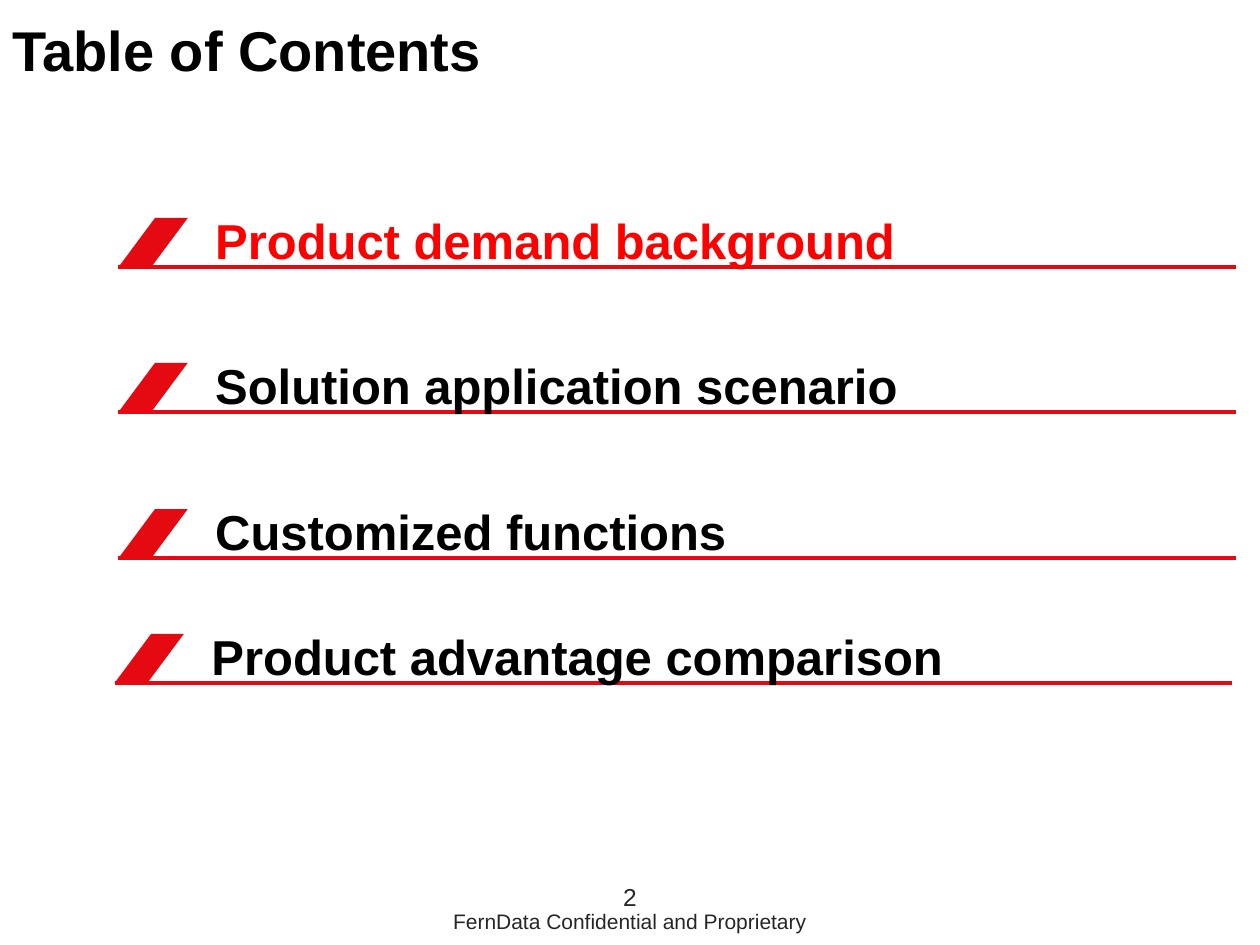
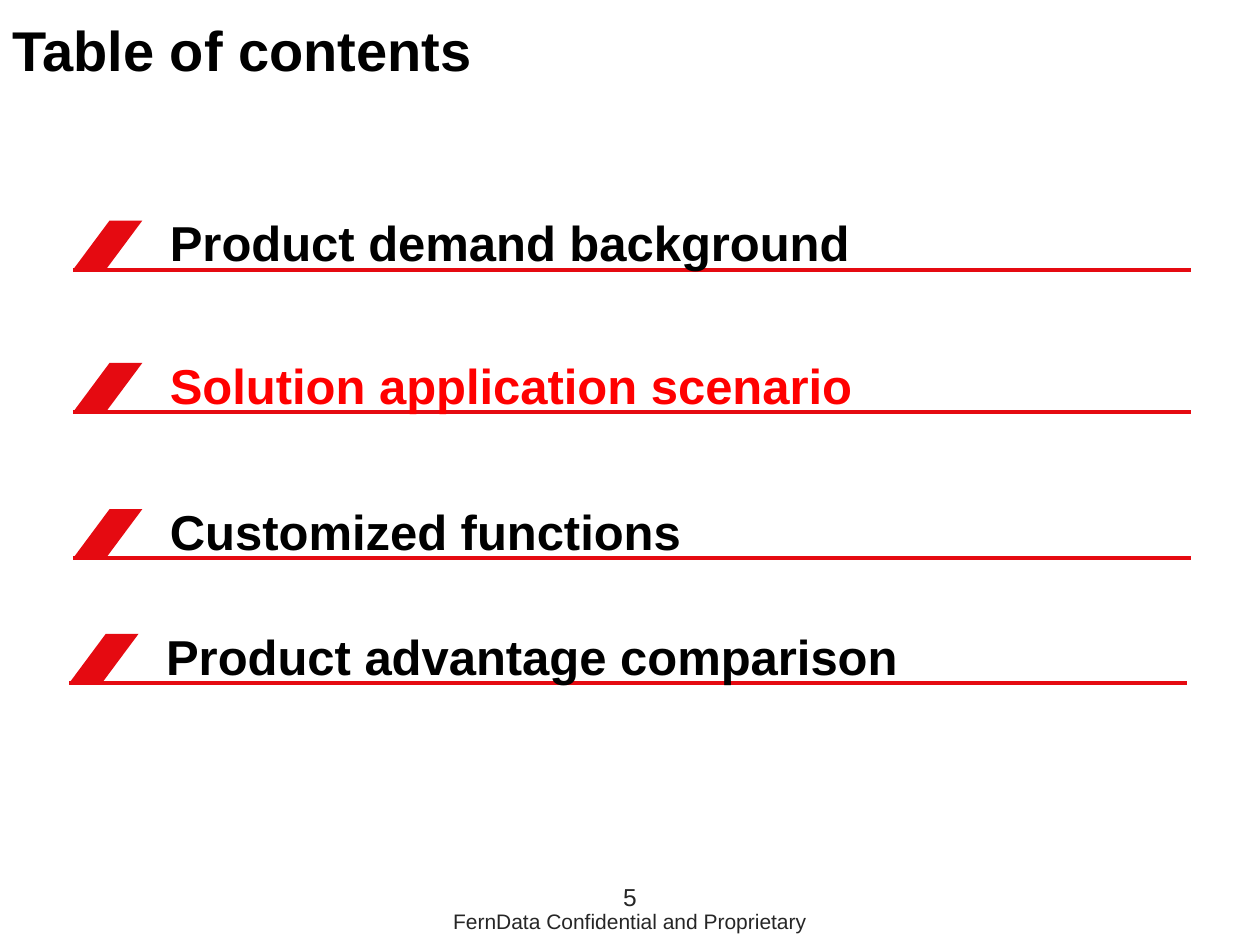
import pptx
import pptx.dml.color
import pptx.enum.shapes
import pptx.enum.text
import pptx.oxml.ns
import pptx.util
from lxml import etree

SLIDE_W, SLIDE_H = 10, 7.5
FONT = "Arial"
BLACK, GREY, RED, HIGHLIGHT = "000000", "262626", "E50A11", "FF0000"
LEFT = pptx.enum.text.PP_ALIGN.LEFT
CENTER = pptx.enum.text.PP_ALIGN.CENTER
TOP = pptx.enum.text.MSO_ANCHOR.TOP
MIDDLE = pptx.enum.text.MSO_ANCHOR.MIDDLE

TOPICS = [
    "Product demand background",
    "Solution application scenario",
    "Customized functions",
    "Product advantage comparison",
]
FOOTER = "FernData Confidential and Proprietary"

# Each topic row: a slanted marker standing on a rule, with its text beside it
MARKER_W, MARKER_H, SLANT = 0.55, 0.39, 0.29
RULE_W = 8.87
TEXT_DX, TEXT_DY, TEXT_W, TEXT_H = 0.67, -0.11, 8.38, 0.57
ROW_TOPS = [2.88, 4.04, 5.03]  # rows below the first
LAST_ROW_SHIFT = -0.03


def inches(value):
    return pptx.util.Inches(value)


def rgb(hex_color):
    return pptx.dml.color.RGBColor.from_string(hex_color)


def add_text(slide, text, box, size, color, bold=False, align=LEFT, anchor=TOP):
    tf = slide.shapes.add_textbox(*map(inches, box)).text_frame
    tf.word_wrap = True
    tf.vertical_anchor = anchor
    p = tf.paragraphs[0]
    p.alignment = align
    r = p.add_run()
    r.text = text
    r.font.name = FONT
    r.font.size = pptx.util.Pt(size)
    r.font.bold = bold
    r.font.color.rgb = rgb(color)


def add_marker(slide, left, top):
    bottom = top + MARKER_H
    points = [
        (left + SLANT, top),
        (left + MARKER_W, top),
        (left + MARKER_W - SLANT, bottom),
        (left, bottom),
    ]
    start, *rest = [(inches(x), inches(y)) for x, y in points]
    builder = slide.shapes.build_freeform(*start)
    builder.add_line_segments(rest, close=True)
    sp = builder.convert_to_shape()
    sp.shadow.inherit = False
    sp.fill.solid()
    sp.fill.fore_color.rgb = rgb(RED)
    sp.line.fill.background()


def add_rule(slide, left, y):
    line = slide.shapes.add_connector(
        pptx.enum.shapes.MSO_CONNECTOR.STRAIGHT,
        inches(left), inches(y), inches(left + RULE_W), inches(y))
    line.line.color.rgb = rgb(RED)
    line.line.width = pptx.util.Pt(2.25)
    etree.SubElement(line._element.spPr, pptx.oxml.ns.qn("a:effectLst"))


def add_topic(slide, topic, left, top, color):
    add_marker(slide, left, top)
    add_rule(slide, left, top + MARKER_H)
    box = (left + TEXT_DX, top + TEXT_DY, TEXT_W, TEXT_H)
    add_text(slide, topic, box, 28, color, bold=True)


def add_frame(slide, title, number):
    """Add the title, page number and footer that every slide carries."""
    add_text(slide, title, (0, 0, 8.36, 0.78), 32, BLACK, bold=True, anchor=MIDDLE)
    add_text(slide, number, (0, 6.95, SLIDE_W, 0.52), 14, GREY, align=CENTER)
    add_text(slide, FOOTER, (0, 7.11, SLIDE_W, 0.4), 12, GREY,
             align=CENTER, anchor=MIDDLE)


def add_contents_slide(prs, title, number, current, left, first_top):
    """Add a contents slide with the current topic highlighted."""
    slide = prs.slides.add_slide(prs.slide_layouts[6])
    add_frame(slide, title, number)
    for i, (topic, top) in enumerate(zip(TOPICS, [first_top, *ROW_TOPS])):
        shift = LAST_ROW_SHIFT if i == len(TOPICS) - 1 else 0
        color = HIGHLIGHT if i == current else BLACK
        add_topic(slide, topic, left + shift, top, color)


def main():
    prs = pptx.Presentation()
    prs.slide_width, prs.slide_height = inches(SLIDE_W), inches(SLIDE_H)
    add_contents_slide(prs, "Table of Contents", "2", current=0, left=0.94, first_top=1.73)
    add_contents_slide(prs, "Table of contents", "5", current=1, left=0.58, first_top=1.75)
    prs.save("out.pptx")


if __name__ == "__main__":
    main()
